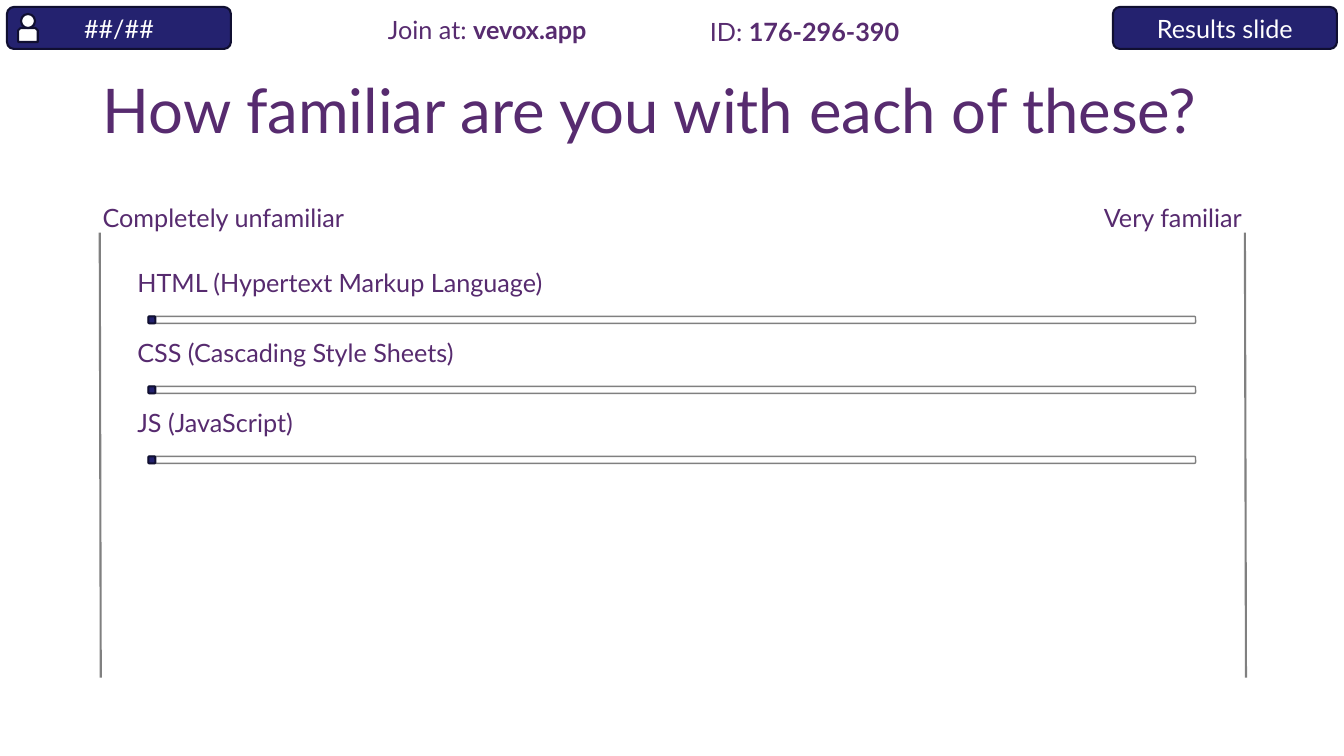
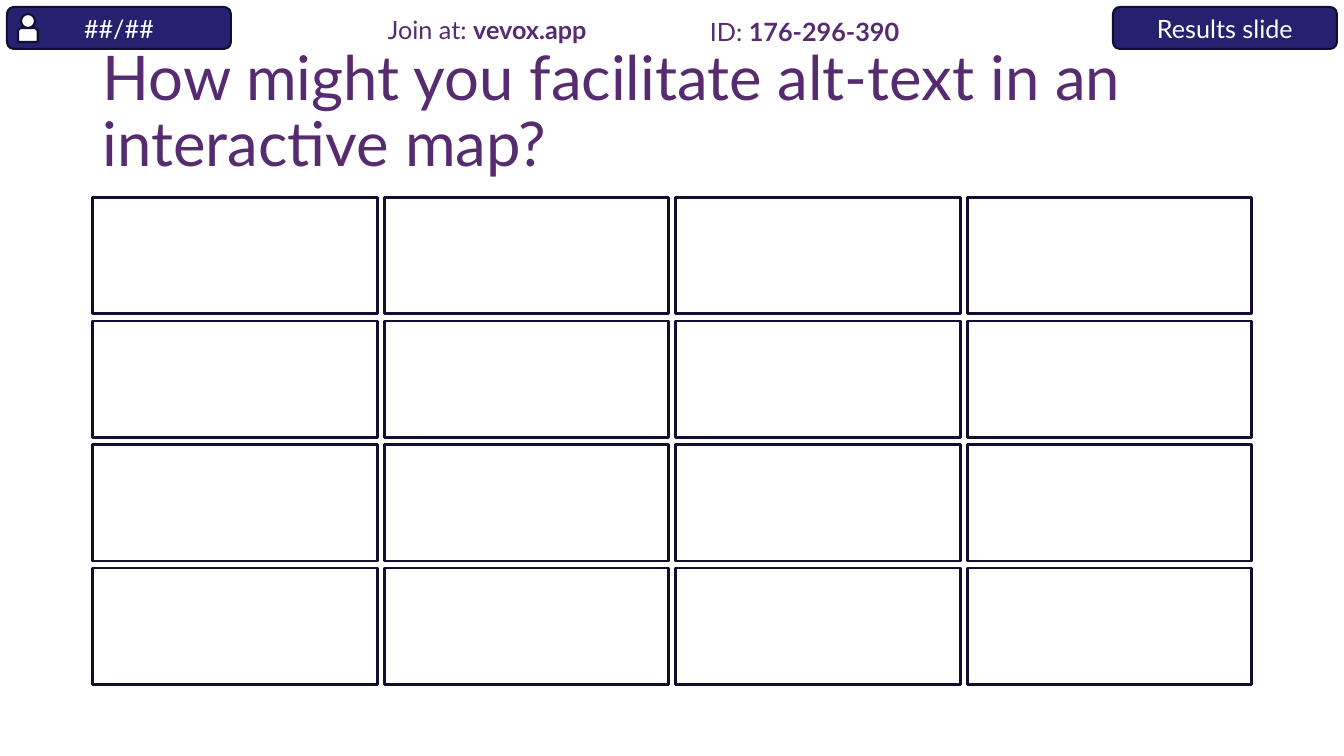
from pptx import Presentation
from pptx.dml.color import RGBColor
from pptx.enum.shapes import MSO_CONNECTOR, MSO_SHAPE
from pptx.enum.text import MSO_ANCHOR, PP_ALIGN
from pptx.oxml.ns import qn
from pptx.util import Inches, Pt
from lxml.etree import SubElement

PURPLE = RGBColor(0x57, 0x2B, 0x6F)
NAVY = RGBColor(0x24, 0x22, 0x6F)
INK = RGBColor(0x10, 0x0F, 0x31)
GRAY = RGBColor(0x80, 0x80, 0x80)
WHITE = RGBColor(0xFF, 0xFF, 0xFF)
FONT = "Lato"

presentation = Presentation()
presentation.slide_width = Inches(13.333)
presentation.slide_height = Inches(7.5)

# The slide is a grid of 192 columns by 108 rows
COLUMN = presentation.slide_width / 192
ROW = presentation.slide_height / 108
LEFT, WIDTH = 13.25, 165.6
BODY_TOP = 28.2


def add_box(slide, kind, area, fill=None, line=INK, line_width=1.5):
    """Add a preset shape, or a text box when kind is None; area is in grid units."""
    left, top, width, height = area
    frame = [int(length) for length in
             (left * COLUMN, top * ROW, width * COLUMN, height * ROW)]
    if kind is None:
        return slide.shapes.add_textbox(*frame)
    shape = slide.shapes.add_shape(kind, *frame)
    shape.shadow.inherit = False
    if fill is None:
        shape.fill.background()
    else:
        shape.fill.solid()
        shape.fill.fore_color.rgb = fill
    shape.line.color.rgb = line
    shape.line.width = Pt(line_width)
    return shape


def add_text(shape, text, bold_text="", size=18, color=PURPLE,
             align=PP_ALIGN.LEFT, anchor=MSO_ANCHOR.TOP, inset=(0.1, 0.05)):
    """Write one paragraph: a regular run, then an optional bold run."""
    frame = shape.text_frame
    frame.word_wrap = True
    frame.vertical_anchor = anchor
    frame.margin_left = frame.margin_right = Inches(inset[0])
    frame.margin_top = frame.margin_bottom = Inches(inset[1])
    paragraph = frame.paragraphs[0]
    paragraph.alignment = align
    for words, bold in ((text, False), (bold_text, True)):
        if words:
            run = paragraph.add_run()
            run.text = words
            run.font.name = FONT
            run.font.size = Pt(size)
            run.font.bold = bold
            run.font.color.rgb = color
    return paragraph


# Shared parts: title, badges, person icon and joining details
slides = []
for title in ("How familiar are you with each of these?",
              "How might you facilitate alt-text in an interactive map?"):
    slide = presentation.slides.add_slide(presentation.slide_layouts[6])
    slides.append(slide)

    title_box = add_box(slide, None, (LEFT, 5.75, WIDTH, 20.9))
    paragraph = add_text(title_box, title, size=44, anchor=MSO_ANCHOR.MIDDLE)
    paragraph.line_spacing = 0.9

    for left, label in ((1, "##/##"), (159, "Results slide")):
        badge = add_box(slide, MSO_SHAPE.ROUNDED_RECTANGLE, (left, 1, 32, 6), NAVY)
        add_text(badge, label, color=WHITE, align=PP_ALIGN.CENTER,
                 anchor=MSO_ANCHOR.MIDDLE, inset=(0, 0))

    add_box(slide, MSO_SHAPE.SNIP_2_SAME_RECTANGLE, (2.6, 4, 2.8, 2), WHITE)
    add_box(slide, MSO_SHAPE.OVAL, (3, 2, 2, 2), WHITE)

    for left, top, label, value in ((54, 1.4, "Join at: ", "vevox.app"),
                                    (100, 1.6, "ID: ", "176-296-390")):
        add_text(add_box(slide, None, (left, top, 38, 6)), label, value)

rating_slide, answer_slide = slides

# Scale ends
HALF = 80.8
for left, label, align in (
        (LEFT, "Completely unfamiliar", PP_ALIGN.LEFT),
        (LEFT + WIDTH - HALF, "Very familiar", PP_ALIGN.RIGHT)):
    add_text(add_box(rating_slide, None, (left, BODY_TOP, HALF, 4)),
             label, align=align)

# One labelled slider per topic
for index, topic in enumerate(("HTML (Hypertext Markup Language)",
                               "CSS (Cascading Style Sheets)",
                               "JS (JavaScript)")):
    top = 38.2 + 10 * index
    topic_box = add_box(rating_slide, None, (18.2, top, WIDTH, 5))
    add_text(topic_box, topic, inset=(0.1, 0))
    add_box(rating_slide, MSO_SHAPE.ROUNDED_RECTANGLE,
            (21.2, top + 7, 149.6, 1), line=GRAY, line_width=1)
    add_box(rating_slide, MSO_SHAPE.ROUNDED_RECTANGLE,
            (21.2, top + 7, 1, 1), NAVY)

# Slightly leaning side lines
for column in (14.25, 177.85):
    side = rating_slide.shapes.add_connector(
        MSO_CONNECTOR.STRAIGHT, int(column * COLUMN), int(33.25 * ROW),
        int((column + 0.15) * COLUMN), int(96.8 * ROW))
    side.line.color.rgb = GRAY
    side.line.width = Pt(1.5)
    SubElement(side._element.spPr, qn("a:effectLst"))

# Answer grid: four by four half-transparent cells
COUNT, GAP = 4, 1
cell_width = (WIDTH - GAP * (COUNT - 1)) / COUNT
cell_height = 16.65
for row in range(COUNT):
    for column in range(COUNT):
        cell = add_box(answer_slide, MSO_SHAPE.RECTANGLE,
                       (LEFT + column * (cell_width + GAP),
                        BODY_TOP + row * (cell_height + GAP),
                        cell_width, cell_height), WHITE, line_width=2)
        fill_color = cell._element.spPr.find(qn("a:solidFill"))[0]
        SubElement(fill_color, qn("a:alpha"), val="50000")

presentation.save("out.pptx")
